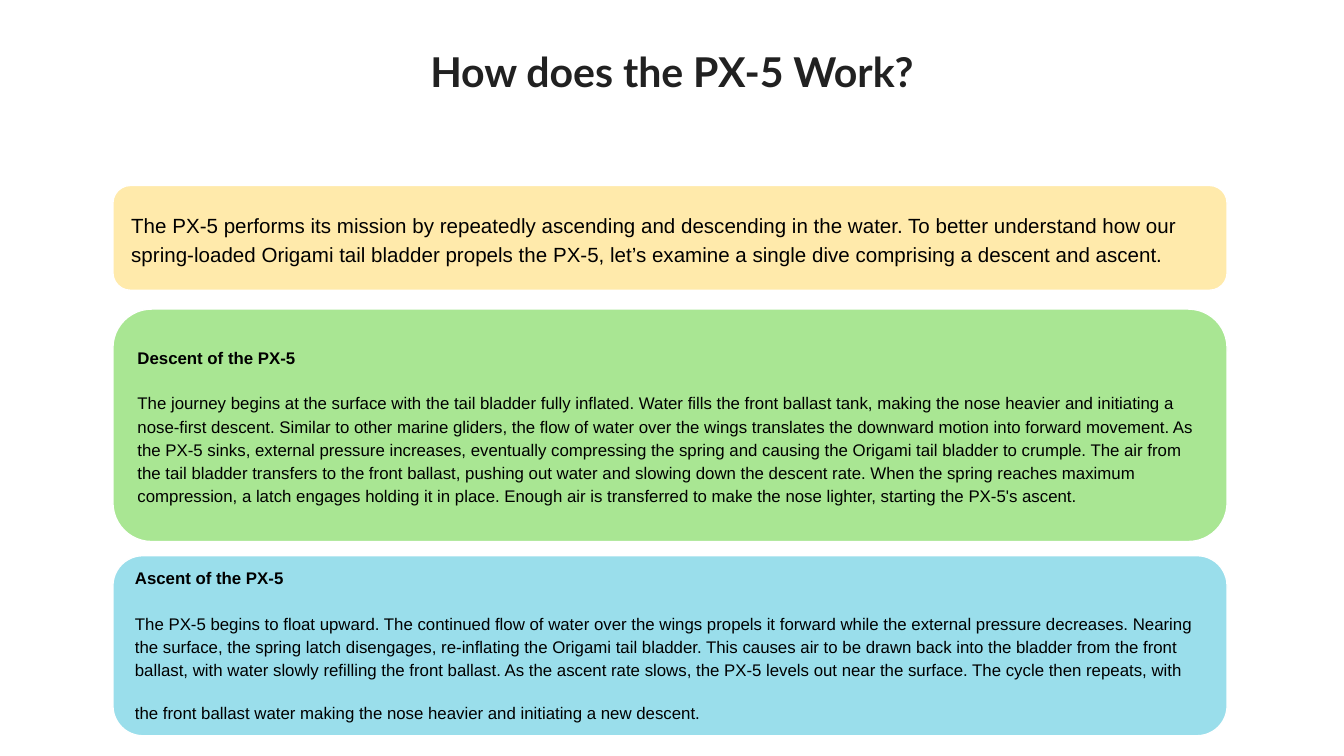
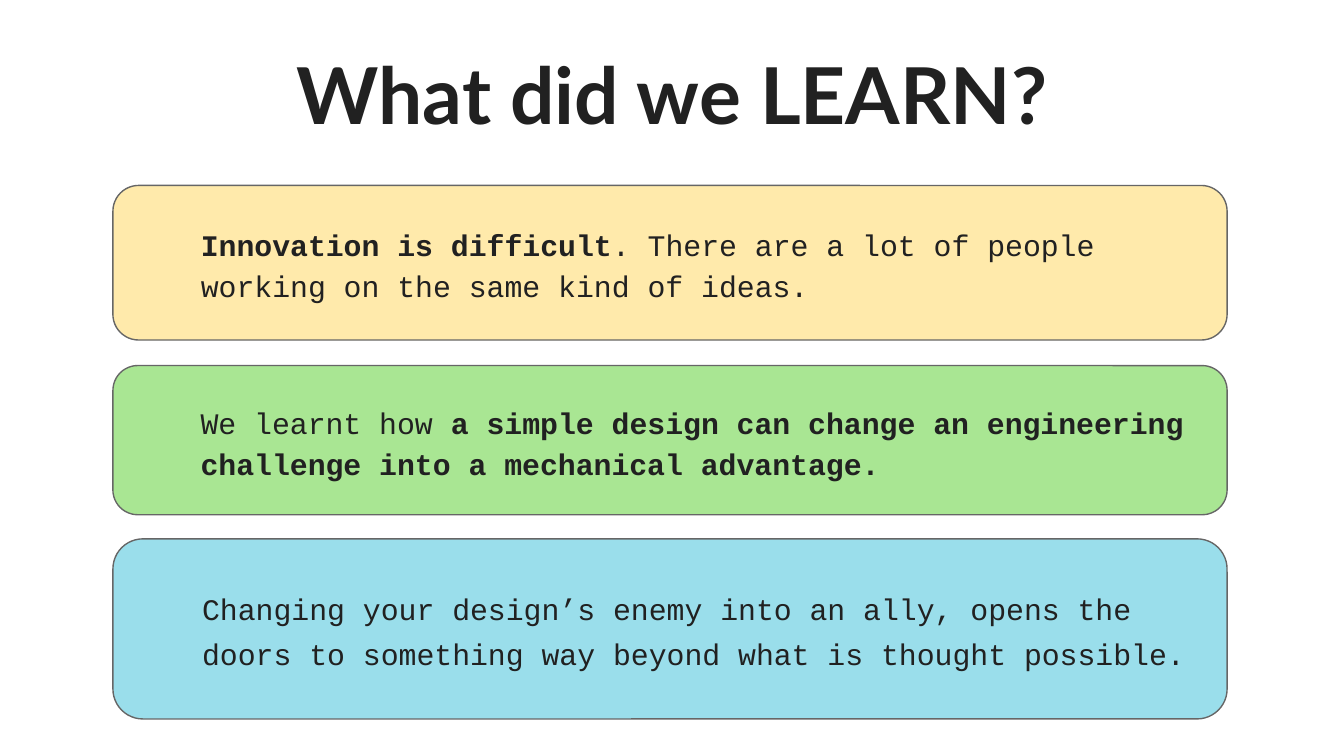
from pptx import Presentation
from pptx.dml.color import RGBColor
from pptx.enum.shapes import MSO_SHAPE
from pptx.enum.text import MSO_ANCHOR, MSO_AUTO_SIZE, PP_ALIGN
from pptx.util import Emu, Pt

# Shared look: 200 px to the inch
SCALE = 4572
WIDTH, HEIGHT = 2000, 1125
LEFT, BAND = 168, 1658
YELLOW, GREEN, BLUE = "FFEAAB", "A9E693", "9ADEEB"
WHITE, GREY, INK, BLACK = "FFFFFF", "666666", "212121", "000000"
SANS, MONO, HEAD = "Arial", "Courier New", "Lato"


def px(n):
    return Emu(n * SCALE)


def color(text):
    return RGBColor.from_string(text)


def add_run(para, text, size, face, ink, bold=False):
    run = para.add_run()
    run.text = text
    font = run.font
    font.size, font.name, font.bold = Pt(size), face, bold
    font.color.rgb = color(ink)


def set_frame(frame, anchor):
    frame.word_wrap = True
    frame.auto_size = MSO_AUTO_SIZE.NONE
    frame.vertical_anchor = anchor
    frame.margin_left = frame.margin_right = px(20)
    frame.margin_top = frame.margin_bottom = px(20)


def add_page(deck, title, size, lead):
    """Add a slide with its centred title."""
    page = deck.slides.add_slide(deck.slide_layouts[5])
    head = page.shapes.title
    head.left, head.top, head.width, head.height = map(px, (68, 64, 1864, 176))
    set_frame(head.text_frame, MSO_ANCHOR.TOP)
    para = head.text_frame.paragraphs[0]
    para.alignment = PP_ALIGN.CENTER
    para.line_spacing = lead
    add_run(para, title, size, HEAD, INK, True)
    return page


def add_card(page, top, height, fill, edge):
    """Add a rounded band and return its text frame."""
    card = page.shapes.add_shape(
        MSO_SHAPE.ROUNDED_RECTANGLE, px(LEFT), px(top), px(BAND), px(height))
    card.shadow.inherit = False
    card.fill.solid()
    card.fill.fore_color.rgb = color(fill)
    card.line.color.rgb = color(edge)
    card.line.width = Pt(0.75)
    set_frame(card.text_frame, MSO_ANCHOR.MIDDLE)
    return card.text_frame


def format_para(para, before=0, after=0, indent=0):
    para.alignment = PP_ALIGN.LEFT
    para.line_spacing = 1.15
    para.space_before, para.space_after = Pt(before), Pt(after)
    props = para._p.get_or_add_pPr()
    props.set("marL", str(px(indent)))
    props.set("indent", "0")
    return para


def add_phase(page, top, height, fill, name, text):
    """Add a card with a bold heading above its account."""
    frame = add_card(page, top, height, fill, WHITE)
    add_run(format_para(frame.paragraphs[0]), name, 9, SANS, BLACK, True)
    body = format_para(frame.add_paragraph(), 12, 12)
    add_run(body, text, 9, SANS, BLACK)
    return body


def add_lesson(page, top, height, fill, parts):
    """Add an outlined card; parts are (text, bold) pairs."""
    frame = add_card(page, top, height, fill, GREY)
    para = format_para(frame.paragraphs[0], after=12, indent=100)
    for text, bold in parts:
        add_run(para, text, 16, MONO, INK, bold)
    return para


def build_work(deck):
    page = add_page(deck, "How does the PX-5 Work?", 22, 0.8)
    # Introduction
    intro = add_card(page, 276, 156, YELLOW, WHITE)
    add_run(
        format_para(intro.paragraphs[0], after=12),
        "The PX-5 performs its mission by repeatedly ascending and descending "
        "in the water. To better understand how our spring-loaded Origami tail "
        "bladder propels the PX-5, let’s examine a single dive comprising a "
        "descent and ascent.", 11, SANS, BLACK)
    # Two phases of a dive
    add_phase(
        page, 460, 346, GREEN, "Descent of the PX-5",
        "The journey begins at the surface with the tail bladder fully "
        "inflated. Water fills the front ballast tank, making the nose heavier "
        "and initiating a nose-first descent. Similar to other marine gliders, "
        "the flow of water over the wings translates the downward motion into "
        "forward movement. As the PX-5 sinks, external pressure increases, "
        "eventually compressing the spring and causing the Origami tail "
        "bladder to crumple. The air from the tail bladder transfers to the "
        "front ballast, pushing out water and slowing down the descent rate. "
        "When the spring reaches maximum compression, a latch engages holding "
        "it in place. Enough air is transferred to make the nose lighter, "
        "starting the PX-5's ascent.")
    ascent = add_phase(
        page, 827, 268, BLUE, "Ascent of the PX-5",
        "The PX-5 begins to float upward. The continued flow of water over the "
        "wings propels it forward while the external pressure decreases. "
        "Nearing the surface, the spring latch disengages, re-inflating the "
        "Origami tail bladder. This causes air to be drawn back into the "
        "bladder from the front ballast, with water slowly refilling the front "
        "ballast. As the ascent rate slows, the PX-5 levels out near the "
        "surface. The cycle then repeats, with the front ballast water making "
        "the nose heavier and initiating a new descent.")
    # A larger closing space sets the height of the last line
    add_run(ascent, " ", 18, MONO, GREY)


def build_learn(deck):
    page = add_page(deck, "What did we LEARN?", 42, 0.9)
    add_lesson(page, 276, 230, YELLOW, [
        ("Innovation is difficult", True),
        (". There are a lot of people working on the same kind of ideas.",
         False)])
    add_lesson(page, 544, 222, GREEN, [
        ("We learnt how ", False),
        ("a simple design can change an engineering challenge into a "
         "mechanical advantage.", True)])
    ally = add_lesson(page, 802, 268, BLUE, [
        ("Changing your design’s enemy into an ally, opens the doors to "
         "something way beyond what is thought possible.", False)])
    add_run(ally, " ", 18, MONO, INK)


def main():
    deck = Presentation()
    deck.slide_width, deck.slide_height = px(WIDTH), px(HEIGHT)
    build_work(deck)
    build_learn(deck)
    deck.save("out.pptx")


if __name__ == "__main__":
    main()
